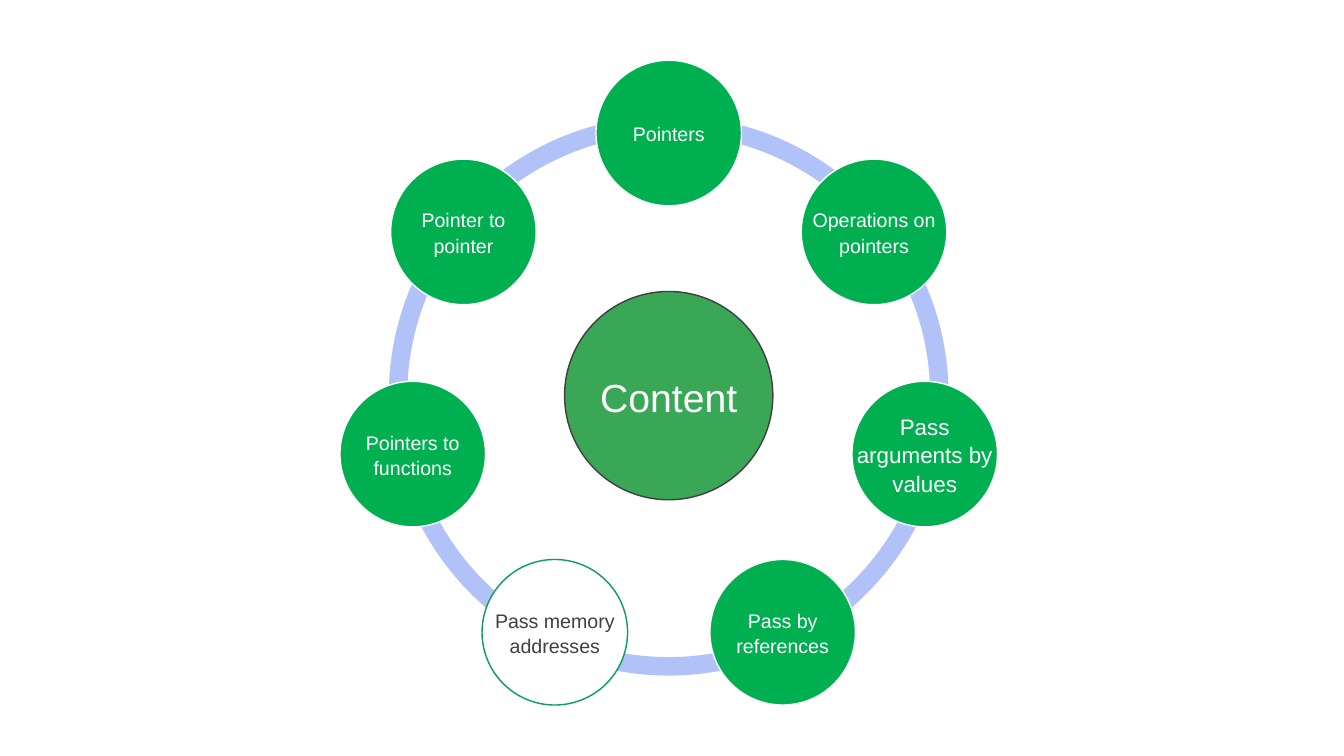
from math import cos, radians, sin

from pptx import Presentation
from pptx.dml.color import RGBColor
from pptx.enum.shapes import MSO_SHAPE
from pptx.enum.text import MSO_ANCHOR, PP_ALIGN
from pptx.util import Inches, Pt

RING = "B0C2F8"
NODE = {"fill": "00B050", "line": "FFFFFF", "color": "FFFFFF", "size": 28, "inset": 0.04}
LARGE_NODE = {**NODE, "size": 32}
OPEN_NODE = {**NODE, "fill": "FFFFFF", "line": "0F9D58", "color": "404040"}
HUB = {"fill": "3AA757", "line": "404040", "color": "FFFFFF", "size": 56, "inset": 0.08}

# Clockwise from the top
TOPICS = [
    ("Pointers", NODE),
    ("Operations on pointers", NODE),
    ("Pass arguments by values", LARGE_NODE),
    ("Pass by references", NODE),
    ("Pass memory addresses", OPEN_NODE),
    ("Pointers to functions", NODE),
    ("Pointer to pointer", NODE),
]


def rgb(value):
    return RGBColor.from_string(value)


def square(center_x, center_y, size):
    """Return left, top, width and height of a square around a centre."""
    left, top = center_x - size / 2, center_y - size / 2
    return [Inches(length) for length in (left, top, size, size)]


def add_filled_shape(slide, kind, box, fill):
    shape = slide.shapes.add_shape(kind, *box)
    shape.shadow.inherit = False
    shape.fill.solid()
    shape.fill.fore_color.rgb = rgb(fill)
    return shape


def add_label(slide, box, text, style):
    frame = slide.shapes.add_textbox(*box).text_frame
    frame.word_wrap = True
    frame.vertical_anchor = MSO_ANCHOR.MIDDLE
    for side in ("left", "top", "right", "bottom"):
        setattr(frame, f"margin_{side}", Inches(style["inset"]))
    paragraph = frame.paragraphs[0]
    paragraph.text = text
    paragraph.alignment = PP_ALIGN.CENTER
    paragraph.line_spacing = 1.07
    font_values = {"name": "Arial", "size": Pt(style["size"])}
    for name, value in font_values.items():
        setattr(paragraph.font, name, value)
    paragraph.font.color.rgb = rgb(style["color"])


def add_circle(slide, box, text, style):
    circle = add_filled_shape(slide, MSO_SHAPE.OVAL, box, style["fill"])
    circle.line.color.rgb = rgb(style["line"])
    circle.line.width = Pt(2)
    # The label spans the whole box, wider than the text area of an oval
    add_label(slide, box, text, style)


def add_arc(slide, box, start, end):
    arc = add_filled_shape(slide, MSO_SHAPE.BLOCK_ARC, box, RING)
    arc.line.fill.background()
    # Angles are stored in 1/60000 degree, adjustments in 1/100000
    for index, value in enumerate((start % 360 * 0.6, end % 360 * 0.6, 0.033)):
        arc.adjustments[index] = value


def add_radial_cycle(slide, center_x, center_y, ring_size):
    step = 360 / len(TOPICS)
    angles = [270 + step * index for index in range(len(TOPICS))]
    orbit = ring_size * 0.469

    # Ring segments
    for angle in angles:
        add_arc(slide, square(center_x, center_y, ring_size), angle, angle + step)

    # Hub
    add_circle(slide, square(center_x, center_y, ring_size * 0.372), "Content", HUB)

    # Topics around the hub
    for angle, (text, style) in zip(angles, TOPICS):
        x = center_x + orbit * cos(radians(angle))
        y = center_y + orbit * sin(radians(angle))
        add_circle(slide, square(x, y, ring_size * 0.26), text, style)


def main():
    presentation = Presentation()
    presentation.slide_width = Inches(26.67)
    presentation.slide_height = Inches(15)
    slide = presentation.slides.add_slide(presentation.slide_layouts[6])
    slide.background.fill.solid()
    slide.background.fill.fore_color.rgb = rgb("FFFFFF")
    add_radial_cycle(slide, 13.27, 7.85, 11.11)
    presentation.save("out.pptx")


if __name__ == "__main__":
    main()
